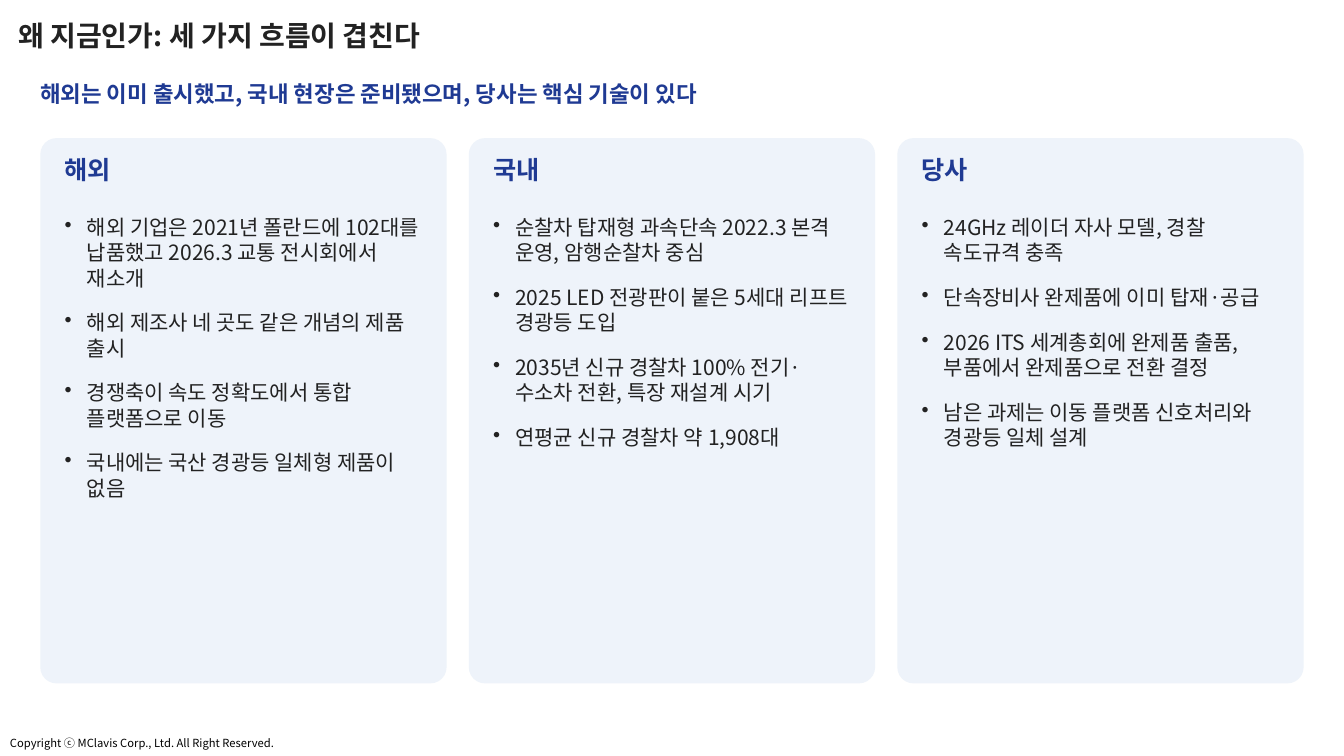
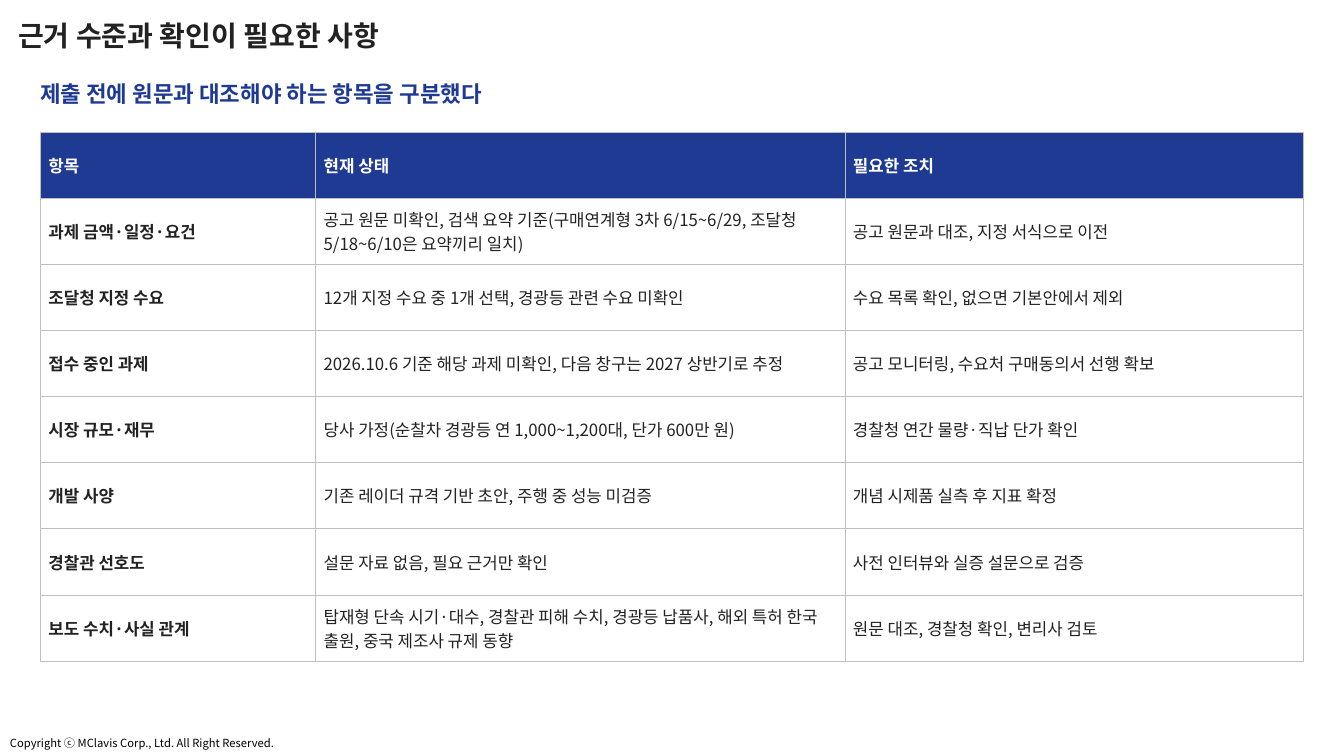
from lxml import etree
from pptx import Presentation
from pptx import util as u
from pptx.dml.color import RGBColor
from pptx.enum import shapes, text
from pptx.oxml.ns import qn

PX = 9144  # 100 px to the inch
FONT = "Noto Sans CJK KR"
NAVY, INK, BLACK, WHITE = "1F3A93", "222222", "000000", "FFFFFF"
CARD, RULE = "EEF3FA", "BFBFBF"
LEFT, WIDTH = 40, 1253
COPYRIGHT = "Copyright ⓒ MClavis Corp., Ltd. All Right Reserved."

TRENDS = {
    "title": "왜 지금인가: 세 가지 흐름이 겹친다",
    "message": "해외는 이미 출시했고, 국내 현장은 준비됐으며, 당사는 핵심 기술이 있다",
    "cards": [
        ("해외", [
            "해외 기업은 2021년 폴란드에 102대를 납품했고 2026.3 교통 전시회에서 재소개",
            "해외 제조사 네 곳도 같은 개념의 제품 출시",
            "경쟁축이 속도 정확도에서 통합 플랫폼으로 이동",
            "국내에는 국산 경광등 일체형 제품이 없음",
        ]),
        ("국내", [
            "순찰차 탑재형 과속단속 2022.3 본격 운영, 암행순찰차 중심",
            "2025 LED 전광판이 붙은 5세대 리프트 경광등 도입",
            "2035년 신규 경찰차 100% 전기·수소차 전환, 특장 재설계 시기",
            "연평균 신규 경찰차 약 1,908대",
        ]),
        ("당사", [
            "24GHz 레이더 자사 모델, 경찰 속도규격 충족",
            "단속장비사 완제품에 이미 탑재·공급",
            "2026 ITS 세계총회에 완제품 출품, 부품에서 완제품으로 전환 결정",
            "남은 과제는 이동 플랫폼 신호처리와 경광등 일체 설계",
        ]),
    ],
}

EVIDENCE = {
    "title": "근거 수준과 확인이 필요한 사항",
    "message": "제출 전에 원문과 대조해야 하는 항목을 구분했다",
    "columns": [273, 525, 455],
    "rows": [
        ("항목", "현재 상태", "필요한 조치"),
        ("과제 금액·일정·요건",
         "공고 원문 미확인, 검색 요약 기준(구매연계형 3차 6/15~6/29, 조달청 5/18~6/10은 요약끼리 일치)",
         "공고 원문과 대조, 지정 서식으로 이전"),
        ("조달청 지정 수요", "12개 지정 수요 중 1개 선택, 경광등 관련 수요 미확인",
         "수요 목록 확인, 없으면 기본안에서 제외"),
        ("접수 중인 과제", "2026.10.6 기준 해당 과제 미확인, 다음 창구는 2027 상반기로 추정",
         "공고 모니터링, 수요처 구매동의서 선행 확보"),
        ("시장 규모·재무", "당사 가정(순찰차 경광등 연 1,000~1,200대, 단가 600만 원)",
         "경찰청 연간 물량·직납 단가 확인"),
        ("개발 사양", "기존 레이더 규격 기반 초안, 주행 중 성능 미검증",
         "개념 시제품 실측 후 지표 확정"),
        ("경찰관 선호도", "설문 자료 없음, 필요 근거만 확인", "사전 인터뷰와 실증 설문으로 검증"),
        ("보도 수치·사실 관계",
         "탑재형 단속 시기·대수, 경찰관 피해 수치, 경광등 납품사, 해외 특허 한국 출원, 중국 제조사 규제 동향",
         "원문 대조, 경찰청 확인, 변리사 검토"),
    ],
}


def px(*lengths):
    return [u.Emu(round(n * PX)) for n in lengths]


def rgb(code):
    return RGBColor.from_string(code)


def style(p, size, color, bold=False):
    """Set the paragraph font for both Latin and Korean text."""
    f = p.font
    f.name, f.size, f.bold = FONT, u.Pt(size), bold
    f.color.rgb = rgb(color)
    props = p._p.pPr.find(qn("a:defRPr"))
    etree.SubElement(props, qn("a:ea"), typeface=FONT)


def add_bullet(p, indent=22):
    props = p._p.get_or_add_pPr()
    props.set("marL", str(indent * PX))
    props.set("indent", str(-indent * PX))
    etree.SubElement(props, qn("a:buChar"), char="•")


def add_text(s, box, lines, size, color, bold=False, after=4, bullets=False,
             anchor=text.MSO_ANCHOR.TOP):
    tf = s.shapes.add_textbox(*px(*box)).text_frame
    tf.word_wrap = True
    tf.vertical_anchor = anchor
    tf.margin_left = tf.margin_right = tf.margin_top = tf.margin_bottom = 0
    for i, line in enumerate(lines):
        p = tf.add_paragraph() if i else tf.paragraphs[0]
        p.text = line
        p.space_after = u.Pt(after)
        if bullets:
            add_bullet(p)
        style(p, size, color, bold)


def add_slide(prs, content):
    """Add a slide with the shared footer, title and key message."""
    s = prs.slides.add_slide(prs.slide_layouts[5])
    tf = s.shapes.add_textbox(*px(0, 726, 283, 24)).text_frame
    tf.word_wrap = False
    tf.text = COPYRIGHT
    style(tf.paragraphs[0], 8, BLACK)

    title = s.shapes.title
    title.left, title.top, title.width, title.height = px(8, 18, 1150, 39)
    tf = title.text_frame
    tf.text = content["title"]
    tf.auto_size = text.MSO_AUTO_SIZE.NONE
    tf.vertical_anchor = text.MSO_ANCHOR.MIDDLE
    p = tf.paragraphs[0]
    p.alignment = text.PP_ALIGN.LEFT
    p.line_spacing = 0.9
    style(p, 20, INK, True)

    add_text(s, (LEFT, 70, WIDTH, 46), [content["message"]], 16, NAVY, True,
             anchor=text.MSO_ANCHOR.MIDDLE)
    return s


def add_cards(s, cards, top=137, height=541, gap=22, pad=24):
    width = (WIDTH - gap * (len(cards) - 1)) / len(cards)
    for i, (heading, points) in enumerate(cards):
        x = LEFT + i * (width + gap)
        sp = s.shapes.add_shape(shapes.MSO_SHAPE.ROUNDED_RECTANGLE,
                                *px(x, top, width, height))
        sp.adjustments[0] = 0.04
        sp.shadow.inherit = False
        sp.fill.solid()
        sp.fill.fore_color.rgb = rgb(CARD)
        sp.line.fill.background()
        inner = width - 2 * pad
        add_text(s, (x + pad, top + 16, inner, 44), [heading], 18, NAVY, True)
        add_text(s, (x + pad, top + 76, inner, 448), points, 15, INK,
                 after=14, bullets=True)


def add_borders(cell):
    props = cell._tc.get_or_add_tcPr()
    for side in ("lnL", "lnR", "lnT", "lnB"):
        ln = etree.SubElement(props, qn(f"a:{side}"), w=str(u.Pt(0.5)))
        fill = etree.SubElement(ln, qn("a:solidFill"))
        etree.SubElement(fill, qn("a:srgbClr"), val=RULE)


def add_table(s, rows, columns, top=131, height=525):
    table = s.shapes.add_table(len(rows), len(columns),
                               *px(LEFT, top, WIDTH, height)).table
    for column, width in zip(table.columns, columns):
        column.width, = px(width)
    for r, row in enumerate(rows):
        table.rows[r].height, = px(height / len(rows))
        for c, value in enumerate(row):
            header = r == 0
            cell = table.cell(r, c)
            cell.text = value
            cell.vertical_anchor = text.MSO_ANCHOR.MIDDLE
            cell.margin_left, cell.margin_right = px(8, 8)
            cell.margin_top, cell.margin_bottom = px(4, 4)
            add_borders(cell)
            cell.fill.solid()
            cell.fill.fore_color.rgb = rgb(NAVY if header else WHITE)
            style(cell.text_frame.paragraphs[0], 12, WHITE if header else INK,
                  header or c == 0)


def main():
    prs = Presentation()
    prs.slide_width, prs.slide_height = px(1333, 750)
    add_cards(add_slide(prs, TRENDS), TRENDS["cards"])
    add_table(add_slide(prs, EVIDENCE), EVIDENCE["rows"], EVIDENCE["columns"])
    prs.save("out.pptx")


if __name__ == "__main__":
    main()
